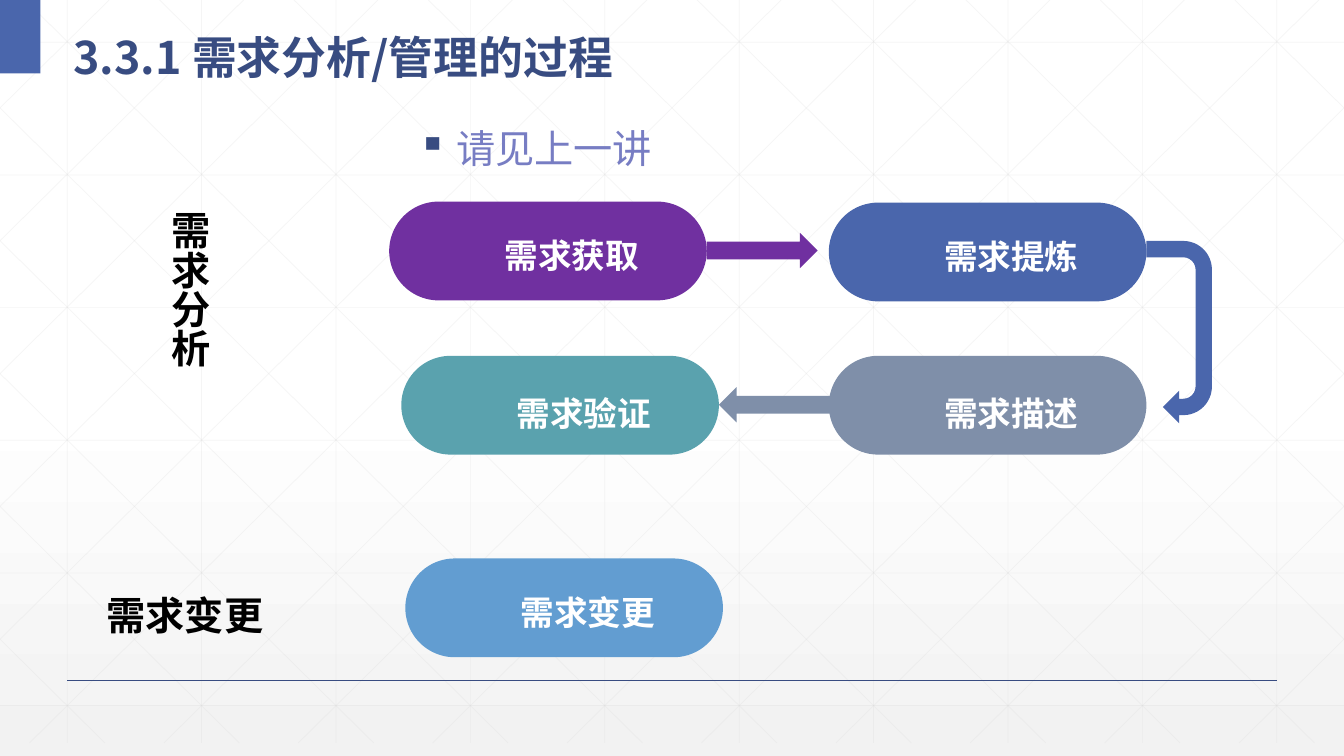
from lxml import etree
from pptx import Presentation
from pptx.dml.color import RGBColor
from pptx.enum.shapes import MSO_CONNECTOR, MSO_SHAPE as Shape
from pptx.enum.text import MSO_ANCHOR as Anchor, MSO_AUTO_SIZE as AutoSize, PP_ALIGN as Align
from pptx.oxml import parse_xml
from pptx.oxml.ns import nsdecls, qn
from pptx.util import Inches, Pt

# Content
WIDTH, HEIGHT = 13.33, 7.5
SANS, SERIF, PLAIN = "Noto Sans CJK SC", "Times New Roman", "Arial"
NAVY, BLUE, PURPLE, GREY = "384C81", "4A66AC", "7030A0", "7F8FA9"
TITLE = "3.3.1 需求分析/管理的过程"
NOTE = " 请见上一讲"
BACKGROUND_STOPS = [(0, "FFFFFF"), (53, "FFFFFF"), (100, "F2F2F2")]
PILL_SIZE = (3.15, 0.98)
PILLS = [  # text, left, top, colour, line spacing
    ("需求获取", 3.86, 2.0, PURPLE, 1.2),
    ("需求提炼", 8.22, 2.01, BLUE, 1.2),
    ("需求描述", 8.22, 3.53, GREY, 1.4),
    ("需求验证", 3.98, 3.53, "5AA2AE", 1.4),
    ("需求变更", 4.02, 5.54, "629DD1", 1.2),
]
ARROWS = [  # preset, box, rotation, colour
    (Shape.RIGHT_ARROW, (7.01, 2.31, 1.1, 0.35), 0, PURPLE),
    (Shape.U_TURN_ARROW, (10.79, 2.97, 1.81, 0.65), 90, BLUE),
    (Shape.RIGHT_ARROW, (7.13, 3.84, 1.15, 0.35), 180, GREY),
]
LABELS = [  # text, box, text direction
    ("需求分析", (1.49, 2.0, 0.67, 2.5), "eaVert"),
    ("需求变更", (0.67, 5.82, 2.33, 0.57), "horz"),
]

# Background grid
COLUMN, ROW = WIDTH / 10, 1.316
GRID_BOTTOM = 7.37
DIAGONAL_START, DIAGONAL_RUN = 0.25, 7.455

presentation = Presentation()
presentation.slide_width, presentation.slide_height = Inches(WIDTH), Inches(HEIGHT)
slide = presentation.slides.add_slide(presentation.slide_layouts[6])


def color(hex_string):
    return RGBColor.from_string(hex_string)


def add_line(start, end, hex_string, width, opacity=100):
    points = [Inches(value) for value in (*start, *end)]
    line = slide.shapes.add_connector(MSO_CONNECTOR.STRAIGHT, *points)
    line.line.color.rgb = color(hex_string)
    line.line.width = Pt(width)
    properties = line._element.spPr
    if opacity < 100:
        alpha = etree.SubElement(next(properties.iter(qn("a:srgbClr"))), qn("a:alpha"))
        alpha.set("val", str(opacity * 1000))
    etree.SubElement(properties, qn("a:effectLst"))


def add_shape(preset, box, hex_string):
    shape = slide.shapes.add_shape(preset, *map(Inches, box))
    shape.shadow.inherit = False
    shape.fill.solid()
    shape.fill.fore_color.rgb = color(hex_string)
    shape.line.fill.background()
    return shape


def write(shape, text, size, font, hex_string, bold=True, spacing=1.0, align=Align.LEFT,
          anchor=Anchor.TOP, wrap=True):
    frame = shape.text_frame
    frame.word_wrap, frame.vertical_anchor = wrap, anchor
    paragraph = frame.paragraphs[0]
    paragraph.alignment, paragraph.line_spacing = align, spacing
    run = paragraph.add_run()
    run.text = text
    run.font.size, run.font.bold, run.font.name = Pt(size), bold, font
    run.font.color.rgb = color(hex_string)
    east_asian = etree.SubElement(run.font._element, qn("a:ea"))
    east_asian.set("typeface", SANS)
    return paragraph


def set_indent(paragraph, margin, first_line):
    properties = paragraph._p.get_or_add_pPr()
    properties.set("marL", str(Inches(margin)))
    properties.set("indent", str(Inches(first_line)))
    return properties


def add_text_box(box):
    return slide.shapes.add_textbox(*map(Inches, box))


# Background gradient
fill = slide.background.fill
fill.gradient()
fill.gradient_angle = 270
stop_list = next(slide.background._cSld.iter(qn("a:gsLst")))
stop_list.clear()
for position, hex_string in BACKGROUND_STOPS:
    stop_list.append(parse_xml(
        f'<a:gs {nsdecls("a")} pos="{position * 1000}"><a:srgbClr val="{hex_string}"/></a:gs>'))

# Grid: verticals, horizontals, then diagonals clipped to the slide and mirrored
grid_lines = [((COLUMN * (i + 0.5), 0), (COLUMN * (i + 0.5), GRID_BOTTOM)) for i in range(10)]
grid_lines += [((0, 0.42 + ROW * i), (WIDTH, 0.42 + ROW * i)) for i in range(6)]
slope = GRID_BOTTOM / DIAGONAL_RUN
for i in range(-5, 10):
    origin = DIAGONAL_START + COLUMN * i
    left, right = max(origin, 0), min(origin + DIAGONAL_RUN, WIDTH)
    top, bottom = (left - origin) * slope, (right - origin) * slope
    grid_lines.append(((left, top), (right, bottom)))
    grid_lines.append(((WIDTH - left, top), (WIDTH - right, bottom)))
for start, end in grid_lines:
    add_line(start, end, "D9D9D9", 0.5, 25)

# Footer rule, corner block and title
add_line((COLUMN / 2, 6.75), (WIDTH - COLUMN / 2, 6.75), NAVY, 1)
add_shape(Shape.RECTANGLE, (0, 0, 0.4, 0.73), BLUE)
write(add_text_box((0.63, 0.12, 11.66, 0.73)), TITLE, 32, SANS, NAVY, spacing=1.3,
      anchor=Anchor.MIDDLE)

# Process arrows and steps
for preset, box, rotation, hex_string in ARROWS:
    add_shape(preset, box, hex_string).rotation = rotation
for text, left, top, hex_string, spacing in PILLS:
    pill = add_shape(Shape.ROUNDED_RECTANGLE, (left, top, *PILL_SIZE), hex_string)
    pill.adjustments[0] = 0.5
    frame = pill.text_frame
    frame.margin_left = frame.margin_right = Inches(0.2)
    frame.margin_top = frame.margin_bottom = Inches(0.1)
    step = write(pill, text, 24, PLAIN, "FFFFFF", spacing=spacing, align=Align.CENTER,
                 anchor=Anchor.MIDDLE, wrap=False)
    set_indent(step, 0.47, 0)

# Side labels
for text, box, direction in LABELS:
    label = add_text_box(box)
    write(label, text, 28, SERIF, "000000", align=Align.CENTER)
    label.text_frame.auto_size = AutoSize.SHAPE_TO_FIT_TEXT
    label.text_frame._txBody.bodyPr.set("vert", direction)

# Bulleted note
note = write(add_text_box((4.05, 0.95, 2.77, 1.16)), NOTE, 28, SANS, "777DC3", bold=False,
             spacing=1.5)
bullet = set_indent(note, 0.25, -0.25)
etree.SubElement(etree.SubElement(bullet, qn("a:buClr")), qn("a:srgbClr")).set("val", NAVY)
etree.SubElement(bullet, qn("a:buChar")).set("char", "▪")

presentation.save("out.pptx")
